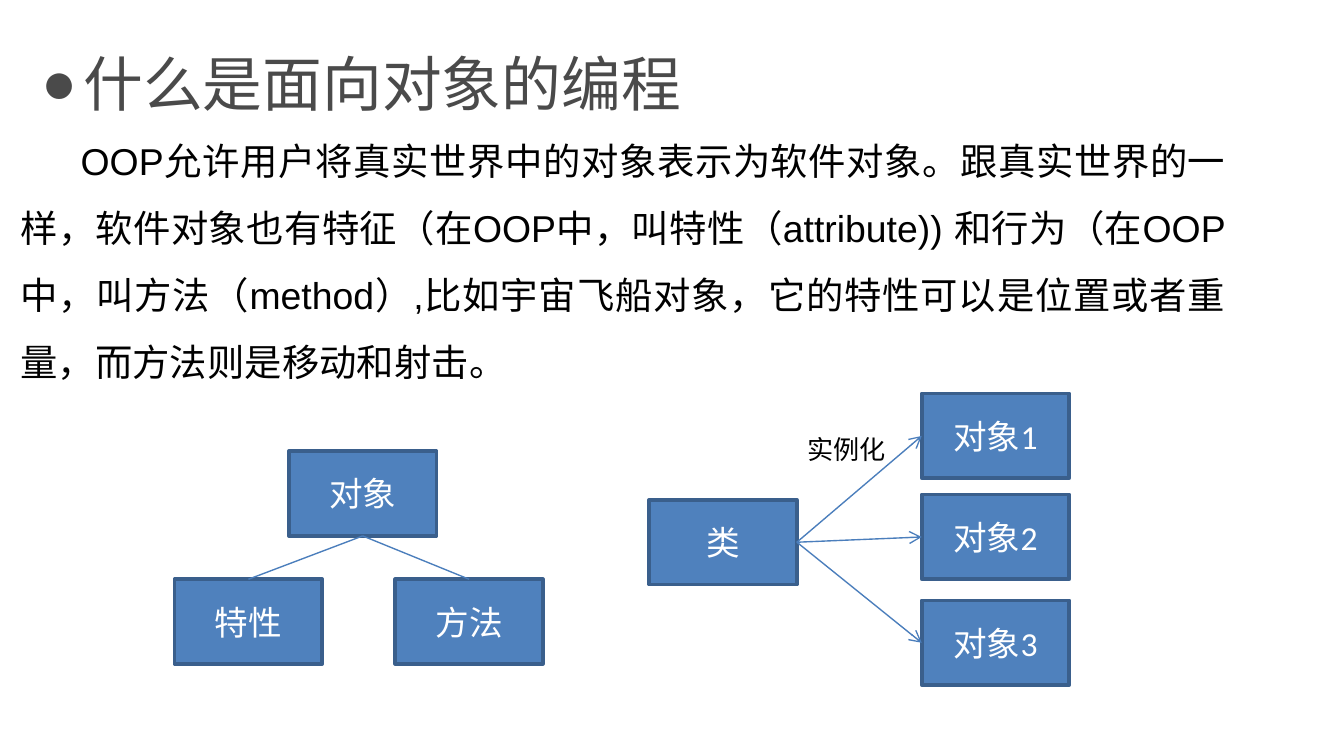
import pptx
import pptx.util
import pptx.dml.color
import pptx.enum.shapes
import pptx.enum.text
import pptx.oxml
import pptx.oxml.ns

Cm = pptx.util.Cm
Pt = pptx.util.Pt
RGBColor = pptx.dml.color.RGBColor
PP_ALIGN = pptx.enum.text.PP_ALIGN
MSO_ANCHOR = pptx.enum.text.MSO_ANCHOR

TITLE = "什么是面向对象的编程"
BODY = (
    "OOP允许用户将真实世界中的对象表示为软件对象。跟真实世界的一样，"
    "软件对象也有特征（在OOP中，叫特性（attribute)) 和行为（在OOP中，"
    "叫方法（method）,比如宇宙飞船对象，它的特性可以是位置或者重量，"
    "而方法则是移动和射击。"
)
BOXES = {
    "对象": (5.46, 8.53),
    "特性": (3.3, 10.95),
    "方法": (7.47, 10.95),
    "类": (12.27, 9.45),
    "对象1": (17.42, 7.44),
    "对象2": (17.42, 9.35),
    "对象3": (17.42, 11.35),
}
BOX_WIDTH, BOX_HEIGHT = Cm(2.79), Cm(1.6)
BRANCHES = {"对象": ("特性", "方法"), "类": ("对象1", "对象2", "对象3")}
TOP, LEFT, BOTTOM, RIGHT = range(4)
SITES = {"对象": (BOTTOM, TOP), "类": (RIGHT, LEFT)}
ARROW_PARENT = "类"
ARROW_LABEL = "实例化"

BLUE = RGBColor(0x4F, 0x81, 0xBD)
OUTLINE = RGBColor(0x3A, 0x5F, 0x8C)
LINE = RGBColor(0x4B, 0x7E, 0xBC)
GREY = RGBColor(0x4A, 0x4A, 0x4A)
BLACK = RGBColor(0, 0, 0)
WHITE = RGBColor(255, 255, 255)
CHINESE_FONT = "Noto Sans CJK SC"


def add_xml(parent, tag, inner="", **attributes):
    values = " ".join(f'{name}="{value}"' for name, value in attributes.items())
    namespace = pptx.oxml.ns.nsdecls("a")
    element = pptx.oxml.parse_xml(f"<a:{tag} {namespace} {values}>{inner}</a:{tag}>")
    parent.append(element)
    return element


def write(shape, text, size, font, color, alignment, anchor):
    frame = shape.text_frame
    frame.text = text
    frame.word_wrap = True
    frame.auto_size = pptx.enum.text.MSO_AUTO_SIZE.NONE
    frame.vertical_anchor = anchor
    paragraph = frame.paragraphs[0]
    paragraph.alignment = alignment
    run = paragraph.runs[0]
    run.font.size = Pt(size)
    run.font.color.rgb = color
    run.font.name = font
    add_xml(run.font._element, "ea", typeface=CHINESE_FONT)
    return paragraph


def place(shape, left, top, width, height):
    shape.left, shape.top = Cm(left), Cm(top)
    shape.width, shape.height = Cm(width), Cm(height)


presentation = pptx.Presentation()
presentation.slide_width = Cm(25.4)
presentation.slide_height = Cm(14.29)
slide = presentation.slides.add_slide(presentation.slide_layouts[1])

title = slide.shapes.title
place(title, 0.53, 0.08, 12.65, 2.31)
paragraph = write(title, TITLE, 32, CHINESE_FONT, GREY, PP_ALIGN.LEFT, MSO_ANCHOR.TOP)
title.text_frame.word_wrap = False
paragraph.line_spacing = 1.5
paragraph.space_before = Pt(6)
properties = paragraph._p.get_or_add_pPr()
properties.set("marL", str(Cm(0.79)))
properties.set("indent", str(Cm(-0.79)))
add_xml(properties, "buFont", typeface="Arial")
add_xml(properties, "buChar", char="●")
shadow = (
    '<a:outerShdw blurRad="50800" dist="38100" dir="2700000">'
    '<a:srgbClr val="000000"><a:alpha val="40000"/></a:srgbClr></a:outerShdw>'
)
font_properties = paragraph.runs[0].font._element
effects = add_xml(font_properties, "effectLst", shadow)
font_properties.find(pptx.oxml.ns.qn("a:solidFill")).addnext(effects)

body = slide.placeholders[1]
place(body, 0.13, 2.06, 23.29, 5.38)
paragraph = write(body, BODY, 20, "Arial", BLACK, PP_ALIGN.JUSTIFY, MSO_ANCHOR.TOP)
paragraph.line_spacing = 1.5
paragraph.space_before = Pt(0)
properties = paragraph._p.get_or_add_pPr()
properties.set("marL", "0")
properties.set("indent", str(Cm(1.14)))
add_xml(properties, "buNone")

boxes = {}
for name, (left, top) in BOXES.items():
    box = slide.shapes.add_shape(
        pptx.enum.shapes.MSO_SHAPE.RECTANGLE, Cm(left), Cm(top), BOX_WIDTH, BOX_HEIGHT
    )
    box.shadow.inherit = False
    box.fill.solid()
    box.fill.fore_color.rgb = BLUE
    box.line.color.rgb = OUTLINE
    box.line.width = Pt(2)
    write(box, name, 18, "Calibri", WHITE, PP_ALIGN.CENTER, MSO_ANCHOR.MIDDLE)
    boxes[name] = box

for parent, children in BRANCHES.items():
    start_site, end_site = SITES[parent]
    for child in children:
        connector = slide.shapes.add_connector(
            pptx.enum.shapes.MSO_CONNECTOR.STRAIGHT, 0, 0, 0, 0
        )
        connector.begin_connect(boxes[parent], start_site)
        connector.end_connect(boxes[child], end_site)
        connector.line.color.rgb = LINE
        connector.line.width = Pt(0.75)
        if parent == ARROW_PARENT:
            add_xml(connector.line._get_or_add_ln(), "tailEnd", type="arrow")
        add_xml(connector._element.spPr, "effectLst")

label = slide.shapes.add_textbox(Cm(14.58), Cm(7.92), Cm(2.84), Cm(1.12))
write(label, ARROW_LABEL, 14, "Calibri", BLACK, PP_ALIGN.CENTER, MSO_ANCHOR.MIDDLE)

presentation.save("out.pptx")
